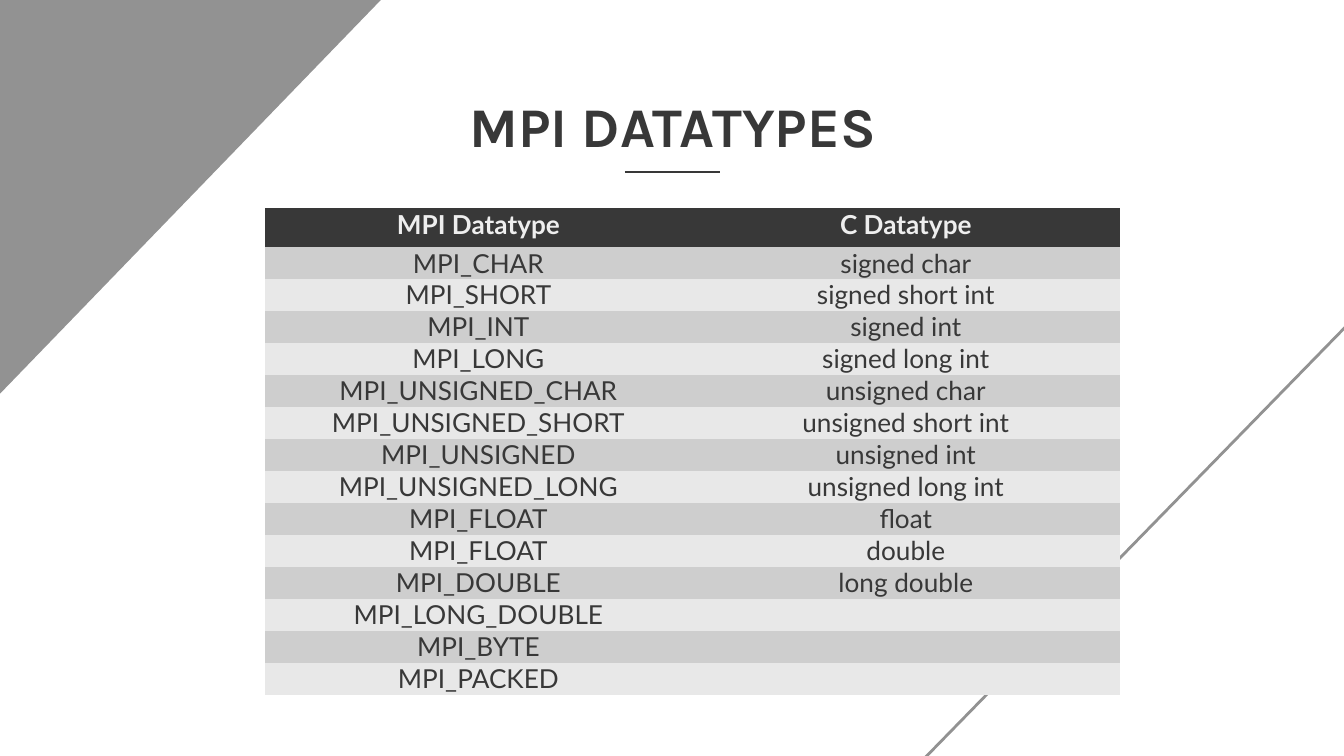
from pptx import Presentation
from pptx.dml.color import RGBColor
from pptx.enum.shapes import MSO_CONNECTOR, MSO_SHAPE
from pptx.enum.text import MSO_ANCHOR, PP_ALIGN
from pptx.oxml.ns import qn
from pptx.util import Inches, Pt
from lxml import etree

STRAIGHT = MSO_CONNECTOR.STRAIGHT
RIGHT_TRIANGLE = MSO_SHAPE.RIGHT_TRIANGLE
TRIANGLE = MSO_SHAPE.ISOSCELES_TRIANGLE
TOP = MSO_ANCHOR.TOP
CENTER = PP_ALIGN.CENTER

TITLE = "MPI DATATYPES"
HEADINGS = ("MPI Datatype", "C Datatype")
DATATYPES = [
    ("MPI_CHAR", "signed char"),
    ("MPI_SHORT", "signed short int"),
    ("MPI_INT", "signed int"),
    ("MPI_LONG", "signed long int"),
    ("MPI_UNSIGNED_CHAR", "unsigned char"),
    ("MPI_UNSIGNED_SHORT", "unsigned short int"),
    ("MPI_UNSIGNED", "unsigned int"),
    ("MPI_UNSIGNED_LONG", "unsigned long int"),
    ("MPI_FLOAT", "float"),
    ("MPI_FLOAT", "double"),
    ("MPI_DOUBLE", "long double"),
    ("MPI_LONG_DOUBLE", ""),
    ("MPI_BYTE", ""),
    ("MPI_PACKED", ""),
]

COLORS = {
    "dark": "383838",
    "grey": "929292",
    "light": "EEEEEE",
    "odd": "CECECE",
    "even": "E8E8E8",
}
TITLE_FONT = {"name": "Karla", "size": Pt(30), "bold": True}
HEADING_FONT = {"name": "Lato", "size": Pt(14), "bold": True}
BODY_FONT = {**HEADING_FONT, "bold": False}
TITLE_FRAME = {"word_wrap": True, "vertical_anchor": TOP}
TITLE_FRAME.update({f"margin_{side}": Inches(0.1) for side in ("left", "right", "top", "bottom")})
CELL_FORMAT = {
    "margin_left": Inches(0.07), "margin_right": Inches(0.07),
    "margin_top": 0, "margin_bottom": 0, "vertical_anchor": TOP,
}
NO_STYLE = "{2D5ABB26-0587-4C30-8999-92F81FD0307C}"

SLIDE_W = 10
SLIDE_H = SLIDE_W * 9 / 16
TABLE_LEFT, TABLE_TOP, TABLE_W, TABLE_H = 1.97, 1.55, 6.36, 3.62
HEADING_H = 0.29
ROW_H = (TABLE_H - HEADING_H) / len(DATATYPES)


def inches(*lengths):
    return [Inches(length) for length in lengths]


def color(name):
    return RGBColor.from_string(COLORS[name])


def apply(target, values):
    for key, value in values.items():
        setattr(target, key, value)


def write(frame, text, font, color_name):
    paragraph = frame.paragraphs[0]
    paragraph.alignment = CENTER
    if not text:
        end = etree.SubElement(paragraph._p, qn("a:endParaRPr"))
        end.set("sz", str(int(font["size"].pt * 100)))
        return
    run = paragraph.add_run()
    run.text = text
    apply(run.font, font)
    run.font.color.rgb = color(color_name)


def stroke(line, color_name):
    line.color.rgb = color(color_name)
    line.width = Pt(1.5)


def add_corners(slide):
    corner = slide.shapes.add_shape(RIGHT_TRIANGLE, *inches(-0.31, -0.12, 3.26, 3.37))
    corner.rotation = 180
    corner._element.spPr.xfrm.set("flipH", "1")
    corner.fill.solid()
    corner.fill.fore_color.rgb = color("grey")
    corner.line.fill.background()
    outline = slide.shapes.add_shape(TRIANGLE, *inches(6.52, 1.86, 8.1, 4.15))
    outline.fill.background()
    stroke(outline.line, "grey")
    for shape in (corner, outline):
        shape.shadow.inherit = False


def add_title(slide):
    title = slide.shapes.add_textbox(*inches(0.98, 0.58, 8.05, 0.58))
    apply(title.text_frame, TITLE_FRAME)
    write(title.text_frame, TITLE, TITLE_FONT, "dark")
    rule = slide.shapes.add_connector(STRAIGHT, *inches(4.65, 1.28, 5.36, 1.28))
    stroke(rule.line, "dark")
    etree.SubElement(rule._element.spPr, qn("a:effectLst"))


def add_datatypes(slide):
    rows = [HEADINGS, *DATATYPES]
    table = slide.shapes.add_table(
        len(rows), len(HEADINGS), *inches(TABLE_LEFT, TABLE_TOP, TABLE_W, TABLE_H)
    ).table
    table._tbl.tblPr.find(qn("a:tableStyleId")).text = NO_STYLE
    for r, row in enumerate(rows):
        table.rows[r].height = Inches(ROW_H if r else HEADING_H)
        font, ink, fill = (
            (BODY_FONT, "dark", "odd" if r % 2 else "even")
            if r else (HEADING_FONT, "light", "dark")
        )
        for c, text in enumerate(row):
            cell = table.cell(r, c)
            apply(cell, CELL_FORMAT)
            cell.fill.solid()
            cell.fill.fore_color.rgb = color(fill)
            write(cell.text_frame, text, font, ink)


def main():
    deck = Presentation()
    deck.slide_width, deck.slide_height = inches(SLIDE_W, SLIDE_H)
    slide = deck.slides.add_slide(deck.slide_layouts[6])
    add_corners(slide)
    add_title(slide)
    add_datatypes(slide)
    deck.save("out.pptx")


if __name__ == "__main__":
    main()
